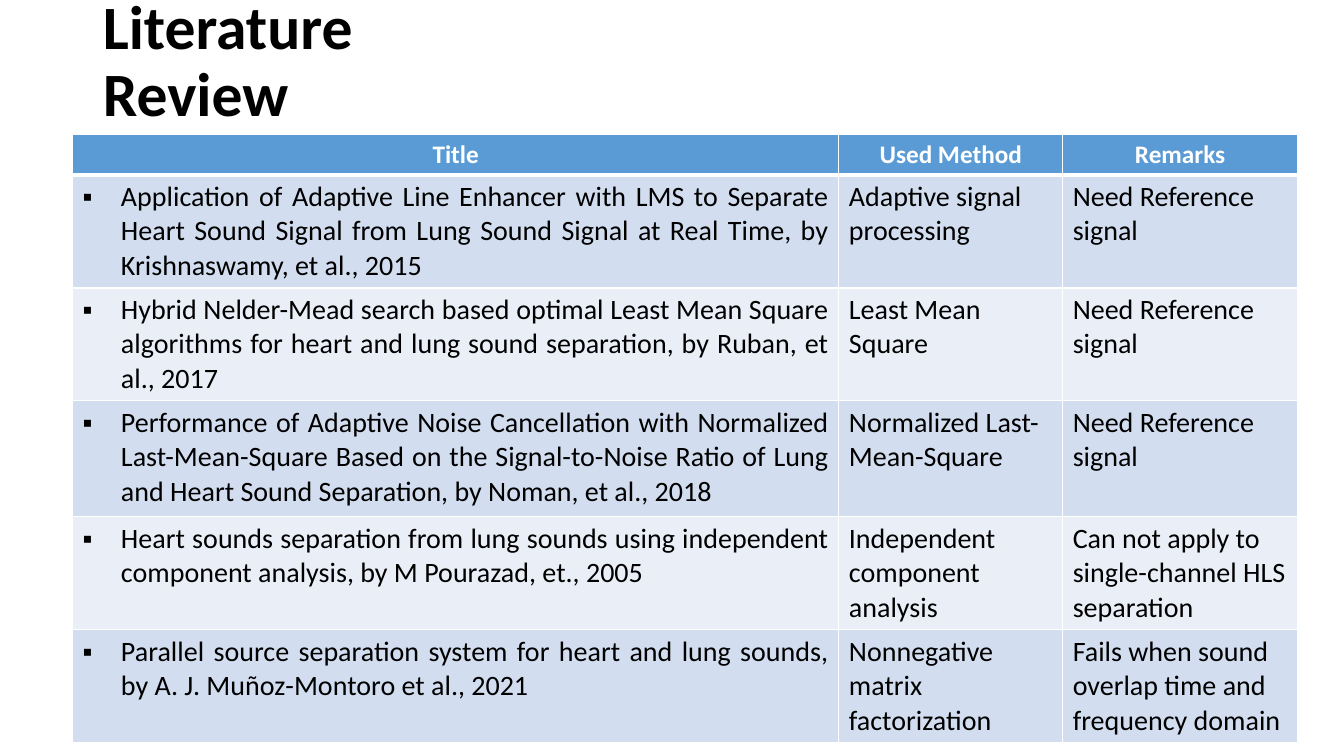
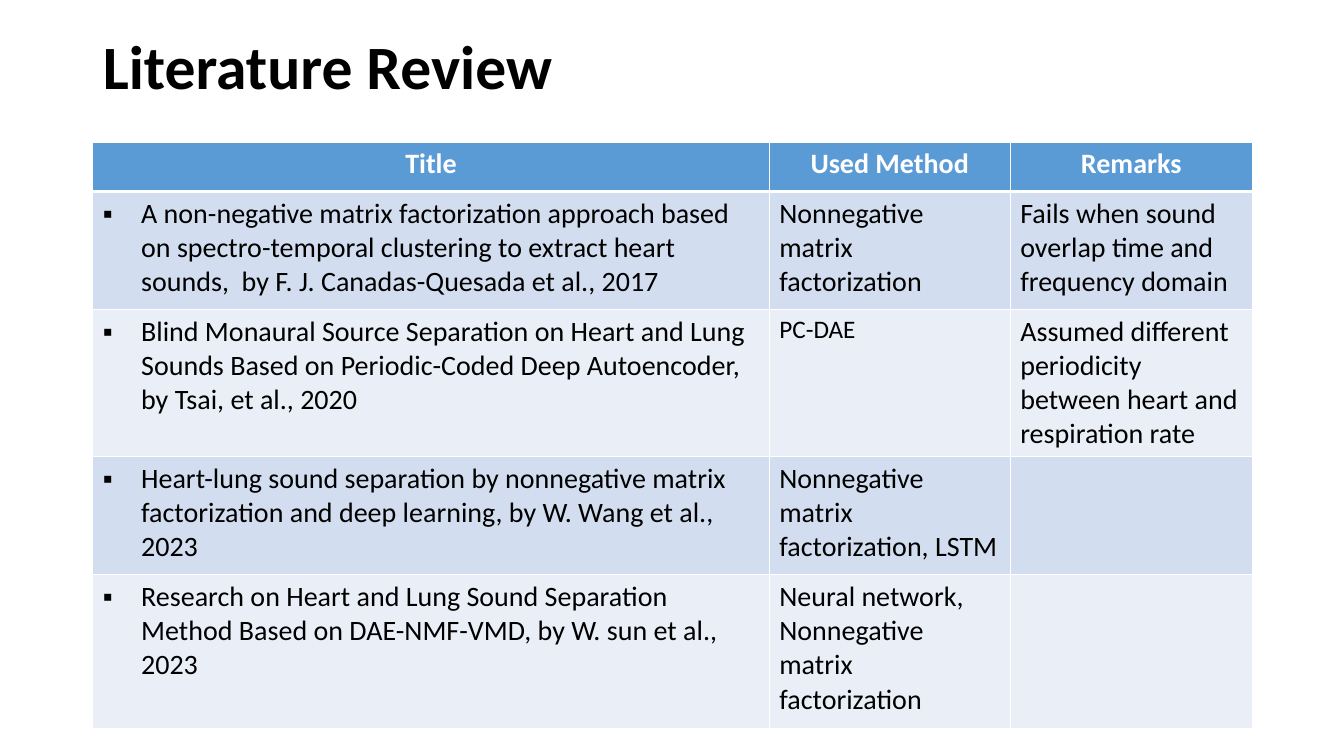
import pptx
import pptx.util
import pptx.dml.color
import pptx.enum.text
import pptx.oxml
import pptx.oxml.ns
from lxml import etree

Inches = pptx.util.Inches
Pt = pptx.util.Pt
RGBColor = pptx.dml.color.RGBColor
ALIGN = pptx.enum.text.PP_ALIGN

BLACK = RGBColor(0x00, 0x00, 0x00)
WHITE = RGBColor(0xFF, 0xFF, 0xFF)
HEADER_BLUE = RGBColor(0x5B, 0x9B, 0xD5)
BANDS = (RGBColor(0xD2, 0xDE, 0xEF), RGBColor(0xEA, 0xEF, 0xF7))

FONT = "Calibri"
TITLE_FORMAT = {"name": FONT, "size": Pt(44), "bold": True}
HEADER_FORMAT = {"name": FONT, "bold": True}
BODY_FORMAT = {"name": FONT, "size": Pt(20), "bold": False}
FRAME_FORMAT = {
    "word_wrap": True,
    "auto_size": pptx.enum.text.MSO_AUTO_SIZE.NONE,
    "vertical_anchor": pptx.enum.text.MSO_ANCHOR.MIDDLE,
}
BULLET_INDENT = Inches(0.38)

HEADINGS = ("Title", "Used Method", "Remarks")
NEED_REFERENCE = "Need Reference signal"
NMF = "Nonnegative matrix factorization"
FAILS_ON_OVERLAP = "Fails when sound overlap time and frequency domain"

REVIEWS = [
    {
        "title_box": (0.92, 0.22, 4.62, 0.81),
        "table_corner": (0.72, 1.33),
        "columns": (7.6, 2.22, 2.33),
        "rows": (0.38, 1.03, 1.03, 1.15, 1.03, 1.03),
        "header_size": 18,
        "paper_align": ALIGN.JUSTIFY,
        "sizes": {},
        "papers": [
            ("Application of Adaptive Line Enhancer with LMS to Separate Heart Sound Signal "
             "from Lung Sound Signal at Real Time, by Krishnaswamy, et al., 2015",
             "Adaptive signal processing", NEED_REFERENCE),
            ("Hybrid Nelder-Mead search based optimal Least Mean Square algorithms for heart "
             "and lung sound separation, by Ruban, et al., 2017",
             "Least Mean Square", NEED_REFERENCE),
            ("Performance of Adaptive Noise Cancellation with Normalized Last-Mean-Square Based "
             "on the Signal-to-Noise Ratio of Lung and Heart Sound Separation, by Noman, et al., 2018",
             "Normalized Last-Mean-Square", NEED_REFERENCE),
            ("Heart sounds separation from lung sounds using independent component analysis, "
             "by M Pourazad, et., 2005",
             "Independent component analysis", "Can not apply to single-channel HLS separation"),
            ("Parallel source separation system for heart and lung sounds, "
             "by A. J. Muñoz-Montoro et al., 2021",
             NMF, FAILS_ON_OVERLAP),
        ],
    },
    {
        "title_box": (0.92, 0.23, 4.68, 0.92),
        "table_corner": (0.92, 1.41),
        "columns": (6.71, 2.39, 2.4),
        "rows": (0.49, 1.17, 1.4, 1.17, 1.53),
        "header_size": 20,
        "paper_align": ALIGN.LEFT,
        "sizes": {"PC-DAE": 18},
        "papers": [
            ("A non-negative matrix factorization approach based on spectro-temporal clustering "
             "to extract heart sounds,  by F. J. Canadas-Quesada et al., 2017",
             NMF, FAILS_ON_OVERLAP),
            ("Blind Monaural Source Separation on Heart and Lung Sounds Based on Periodic-Coded "
             "Deep Autoencoder, by Tsai, et al., 2020",
             "PC-DAE", "Assumed different periodicity between heart and respiration rate"),
            ("Heart-lung sound separation by nonnegative matrix factorization and deep learning, "
             "by W. Wang et al., 2023",
             NMF + ", LSTM", ""),
            ("Research on Heart and Lung Sound Separation Method Based on DAE-NMF-VMD, "
             "by W. sun et al., 2023",
             "Neural network, " + NMF, ""),
        ],
    },
]


def apply_format(target, values):
    for name, value in values.items():
        setattr(target, name, value)


def write_text(para, text, color, values):
    span = para.add_run()
    span.text = text
    apply_format(span.font, values)
    span.font.color.rgb = color


def add_child(parent, tag, **attributes):
    child = etree.SubElement(parent, pptx.oxml.ns.qn(tag))
    for name, value in attributes.items():
        child.set(name, str(value))
    return child


def add_bullet(para):
    properties = para._p.get_or_add_pPr()
    properties.set("marL", str(BULLET_INDENT))
    properties.set("indent", str(-BULLET_INDENT))
    add_child(properties, "a:buFont", typeface="Arial")
    add_child(properties, "a:buChar", char="▪")


def style_cell(cell, fill, borders):
    properties = cell._tc.get_or_add_tcPr()
    for side, points in borders.items():
        line = add_child(properties, "a:ln" + side, w=Pt(points))
        add_child(add_child(line, "a:solidFill"), "a:srgbClr", val=WHITE)
    cell.fill.solid()
    cell.fill.fore_color.rgb = fill


def place_title(page, box):
    title = page.shapes.title
    apply_format(title, dict(zip(("left", "top", "width", "height"), map(Inches, box))))
    apply_format(title.text_frame, FRAME_FORMAT)
    para = title.text_frame.paragraphs[0]
    apply_format(para, {"alignment": ALIGN.LEFT, "line_spacing": 0.9})
    write_text(para, "Literature Review", BLACK, TITLE_FORMAT)


def fill_header(table, size):
    for column, heading in enumerate(HEADINGS):
        cell = table.cell(0, column)
        style_cell(cell, HEADER_BLUE, {"L": 1, "R": 1, "T": 1, "B": 3})
        para = cell.text_frame.paragraphs[0]
        para.alignment = ALIGN.CENTER
        write_text(para, heading, WHITE, HEADER_FORMAT | {"size": Pt(size)})


def fill_paper(table, row, paper, align, sizes):
    for column, text in enumerate(paper):
        cell = table.cell(row, column)
        style_cell(cell, BANDS[(row - 1) % 2], {"L": 1, "R": 1, "B": 1})
        para = cell.text_frame.paragraphs[0]
        if column == 0:
            para.alignment = align
            add_bullet(para)
        if text:
            size = Pt(sizes.get(text, 20))
            write_text(para, text, BLACK, BODY_FORMAT | {"size": size})


def place_table(page, review):
    columns, rows = review["columns"], review["rows"]
    left, top = review["table_corner"]
    frame = page.shapes.add_table(
        len(rows), len(columns), Inches(left), Inches(top),
        Inches(sum(columns)), Inches(sum(rows)))
    table = frame.table
    for column, width in zip(table.columns, columns):
        column.width = Inches(width)
    for row, height in zip(table.rows, rows):
        row.height = Inches(height)
    fill_header(table, review["header_size"])
    for row, paper in enumerate(review["papers"], 1):
        fill_paper(table, row, paper, review["paper_align"], review["sizes"])


def add_review_page(deck, review):
    page = deck.slides.add_slide(deck.slide_layouts[5])
    place_title(page, review["title_box"])
    place_table(page, review)


def main():
    deck = pptx.Presentation()
    deck.slide_width = Inches(13.33)
    deck.slide_height = Inches(7.5)
    for review in REVIEWS:
        add_review_page(deck, review)
    deck.save("out.pptx")


if __name__ == "__main__":
    main()
